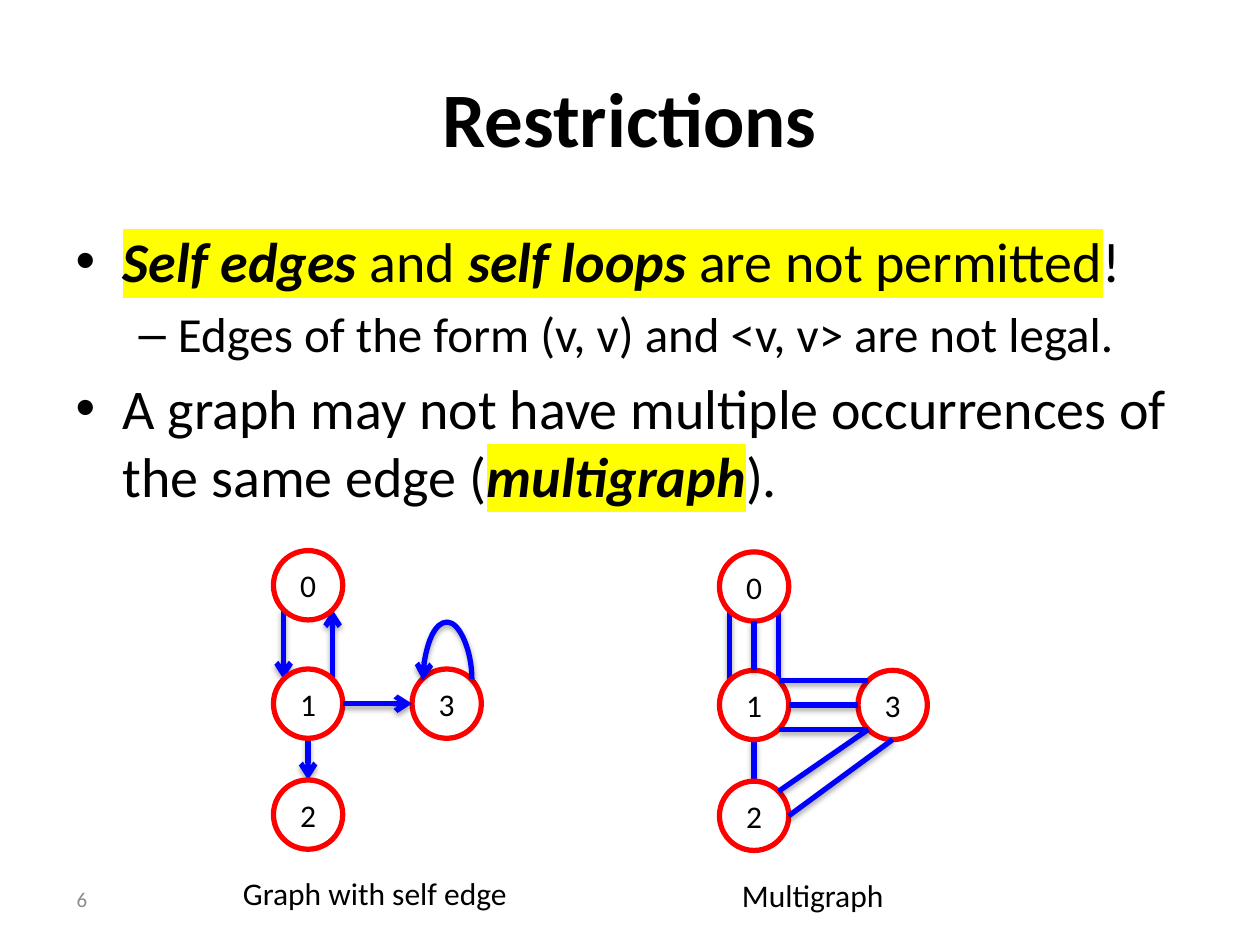
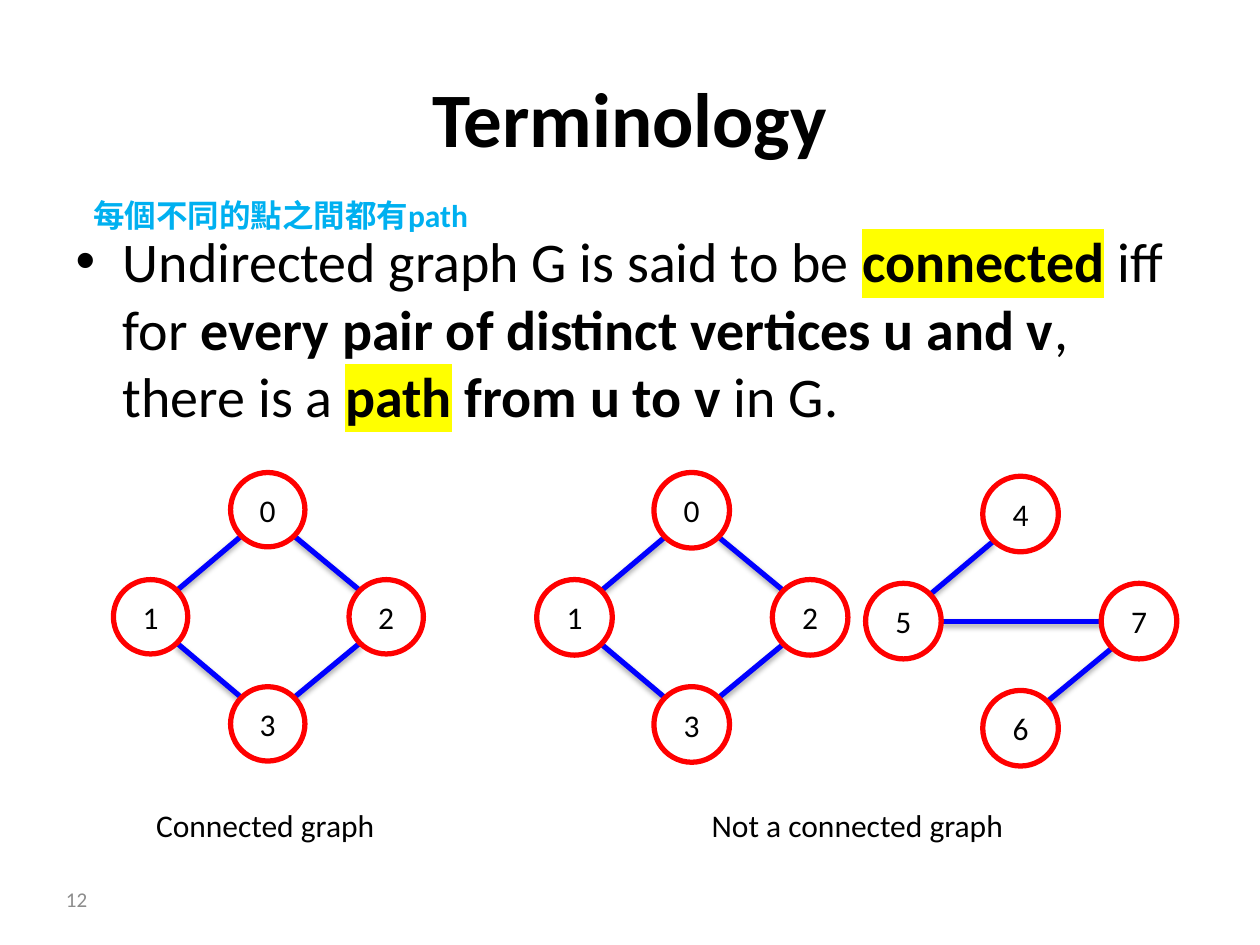
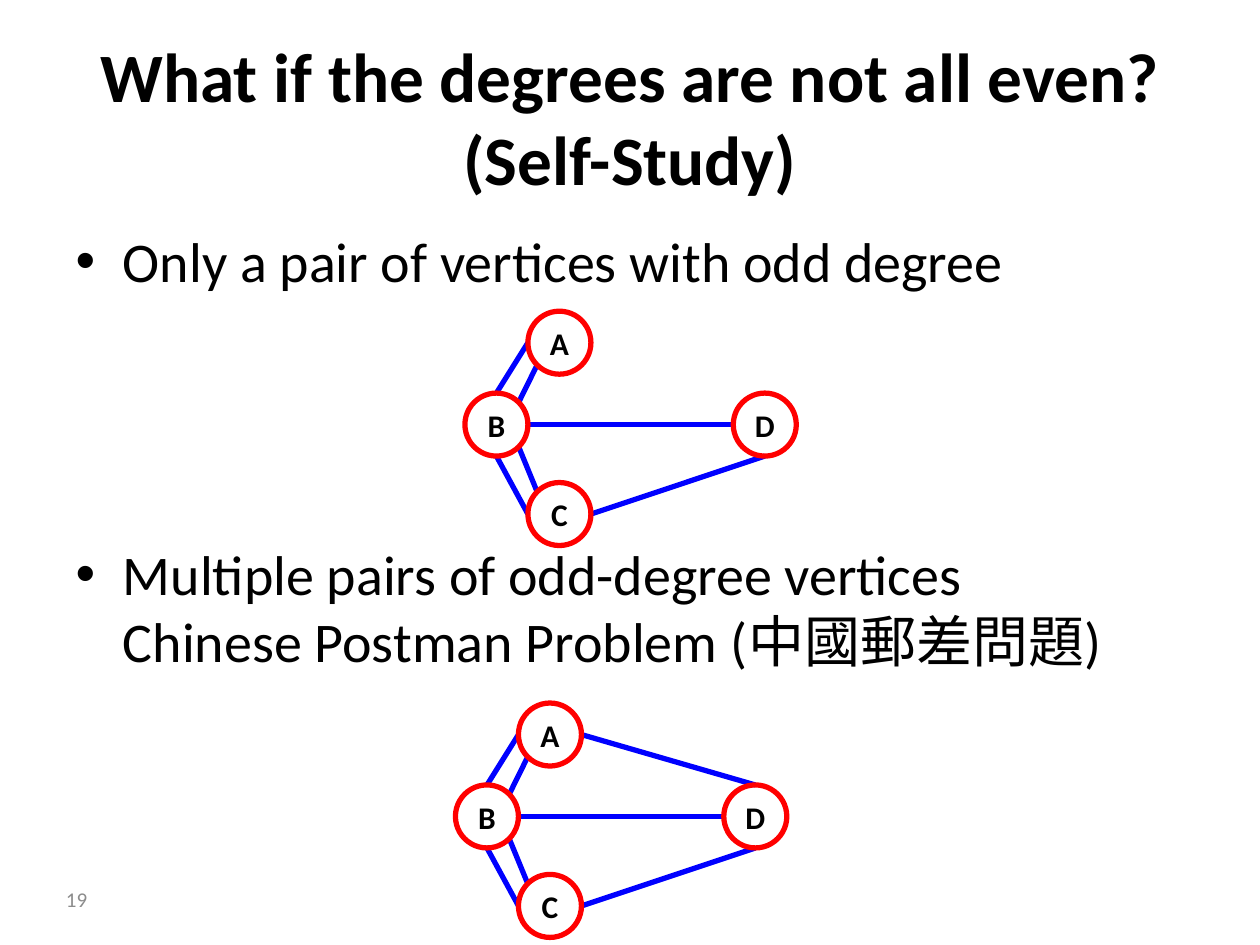
from math import sqrt

from lxml import etree
from pptx import Presentation
from pptx.dml.color import RGBColor
from pptx.enum import shapes, text
from pptx.oxml.ns import qn
from pptx.util import Inches, Pt

# Shared look
BLACK = RGBColor(0x00, 0x00, 0x00)
WHITE = RGBColor(0xFF, 0xFF, 0xFF)
RED = RGBColor(0xFF, 0x00, 0x00)
BLUE = RGBColor(0x00, 0x00, 0xFF)
SKY = RGBColor(0x00, 0xB0, 0xF0)
GREY = RGBColor(0x8C, 0x8C, 0x8C)
FONT, CJK_FONT = "Calibri", "Noto Sans CJK TC"
LEVEL_SIZES = (32, 28)
STROKE = Pt(3)

# Grid of 100 columns by 75 rows
WIDTH, HEIGHT = Inches(10), Inches(7.5)
COL, ROW = WIDTH / 100, HEIGHT / 75

# Where an edge meets a node, as shares of the radius
D = sqrt(0.5)
PORTS = {"N": (0, -1), "S": (0, 1), "E": (1, 0), "W": (-1, 0),
         "NE": (D, -D), "NW": (-D, -D), "SE": (D, D), "SW": (-D, D)}


def cells(x, y):
    return round(x * COL), round(y * ROW)


def box(x, y, w, h):
    return cells(x, y) + cells(w, h)


def child(parent, tag, **attrs):
    return etree.SubElement(parent, qn(tag), attrs)


# Text
def style_run(r, size, color=BLACK, marks=""):
    """Marks: b bold, i italic, h highlighted."""
    r.font.size = Pt(size)
    r.font.bold = "b" in marks
    r.font.italic = "i" in marks
    r.font.color.rgb = color
    if "h" in marks:
        child(child(r._r.get_or_add_rPr(), "a:highlight"), "a:srgbClr", val="FFFF00")
    r.font.name = FONT
    child(r._r.get_or_add_rPr(), "a:ea", typeface=CJK_FONT)


def write(tf, words, size, color=BLACK, marks="", align=text.PP_ALIGN.LEFT):
    tf.text = words
    p = tf.paragraphs[0]
    p.alignment = align
    style_run(p.runs[0], size, color, marks)


def place(sp, *area):
    sp.left, sp.top, sp.width, sp.height = box(*area)


def label(slide, words, area, size=18, color=BLACK, marks="", wrap=False):
    tf = slide.shapes.add_textbox(*box(*area)).text_frame
    tf.word_wrap = wrap
    tf.auto_size = text.MSO_AUTO_SIZE.SHAPE_TO_FIT_TEXT
    write(tf, words, size, color, marks)


def add_bullet(p, runs, level=0):
    p.level = level
    for words, marks in runs:
        if words == "\v":
            p.add_line_break()
            continue
        r = p.add_run()
        r.text = words
        style_run(r, LEVEL_SIZES[level], marks=marks)


def new_slide(prs, title, number, bullets, title_size=44):
    """Title, bullet list and page number; returns the slide."""
    slide = prs.slides.add_slide(prs.slide_layouts[1])
    heading, body = slide.placeholders
    place(heading, 5, 3, 90, 12.5)
    write(heading.text_frame, title, title_size, marks="b", align=text.PP_ALIGN.CENTER)
    heading.text_frame.auto_size = text.MSO_AUTO_SIZE.NONE

    place(body, 5, 17.5, 90, 49.5)
    tf = body.text_frame
    tf.auto_size = text.MSO_AUTO_SIZE.NONE
    for i, (level, runs) in enumerate(bullets):
        add_bullet(tf.add_paragraph() if i else tf.paragraphs[0], runs, level)
    tf.paragraphs[0].space_before = Pt(0)

    page = slide.shapes.add_textbox(*box(0, 69.4, 7.9, 4)).text_frame
    page.word_wrap = True
    page.vertical_anchor = text.MSO_ANCHOR.MIDDLE
    write(page, number, 12, GREY, align=text.PP_ALIGN.RIGHT)
    return slide


# Graphs
def add_edge(slide, start, end, arrow=None, shadow=True,
             kind=shapes.MSO_CONNECTOR.STRAIGHT):
    edge = slide.shapes.add_connector(kind, *cells(*start), *cells(*end))
    edge.line.color.rgb = BLUE
    edge.line.width = STROKE
    if arrow:
        child(edge.line._get_or_add_ln(), arrow, type="arrow")
    effects = child(edge._element.spPr, "a:effectLst")
    if shadow:
        outer = child(effects, "a:outerShdw", blurRad="40000", dist="23000",
                      dir="5400000", rotWithShape="0")
        child(child(outer, "a:srgbClr", val="000000"), "a:alpha", val="35000")
    return edge


def add_node(slide, name, center, size, bold, filled):
    x, y = center
    sp = slide.shapes.add_shape(shapes.MSO_SHAPE.OVAL,
                                *box(x - size / 2, y - size / 2, size, size))
    sp.shadow.inherit = False
    if filled:
        sp.fill.solid()
        sp.fill.fore_color.rgb = WHITE
    else:
        sp.fill.background()
    sp.line.color.rgb = RED
    sp.line.width = STROKE
    tf = sp.text_frame
    tf.margin_left = tf.margin_right = tf.margin_top = tf.margin_bottom = 0
    tf.vertical_anchor = text.MSO_ANCHOR.MIDDLE
    write(tf, name, 18, marks="b" if bold else "", align=text.PP_ALIGN.CENTER)


def add_graph(slide, nodes, size, edges, over="", bold=False, filled=True, shadow=True):
    """Edges read like 0SW-1NW, or 0SW>1NW with an arrow; over lie above the nodes."""
    def port(ref):
        (x, y), (dx, dy) = nodes[ref[0]], PORTS[ref[1:]]
        return x + dx * size / 2, y + dy * size / 2

    def draw(refs):
        for ref in refs.split():
            directed = ">" in ref
            start, end = ref.split(">" if directed else "-")
            add_edge(slide, port(start), port(end),
                     "a:tailEnd" if directed else None, shadow)

    draw(edges)
    for name, center in nodes.items():
        add_node(slide, name, center, size, bold, filled)
    draw(over)


def add_self_loop(slide, x, y, span, rise):
    """Arc above (x, y), made from a thin curved connector turned upright."""
    thin = 0.1
    loop = add_edge(slide, (x + thin / 2, y + span / 2), (x - thin / 2, y - span / 2),
                    "a:headEnd", kind=shapes.MSO_CONNECTOR.CURVE)
    spPr = loop._element.spPr
    spPr.find(qn("a:xfrm")).set("rot", "5400000")
    guides = spPr.find(qn("a:prstGeom")).get_or_add_avLst()
    child(guides, "a:gd", name="adj1", fmla=f"val {round(rise / thin * 100000)}")


def corner(x, y):
    """Nodes 0, 1, 2 in a column, 3 to the right of 1."""
    return {"0": (x, y), "1": (x, y + 9.4), "2": (x, y + 18.2), "3": (x + 11, y + 9.4)}


def diamond(names, x, y):
    """Top, left, right and bottom nodes around (x, y)."""
    offsets = ((0, -8.5), (-9.3, 0), (9.4, 0), (0, 8.5))
    return {n: (x + dx, y + dy) for n, (dx, dy) in zip(names, offsets)}


def bridges(x, y):
    """Land areas A to D, B at (x, y)."""
    return {"A": (x + 5, y - 6.5), "B": (x, y), "C": (x + 5, y + 7.1), "D": (x + 21.3, y)}


# Slides
def restrictions(prs):
    slide = new_slide(prs, "Restrictions", "6", [
        (0, [("Self edges", "bih"), (" ", "bh"), ("and ", "h"), ("self loops ", "bih"),
             ("are not permitted", "h"), ("!", "")]),
        (1, [("Edges of the form (v, v) and <v, v> are not legal.", "")]),
        (0, [("A graph may not have multiple occurrences of the same edge (", ""),
             ("multigraph", "bih"), (").", "")]),
    ])
    add_graph(slide, corner(24.45, 46.45), 5.5, "0SW>1NW 1S>2N 1NE>0SE", over="1E>3W")
    add_self_loop(slide, 35.5, 53.95, span=3.9, rise=4.7)
    label(slide, "Graph with self edge", (18.3, 68.9, 23.2, 4))

    add_graph(slide, corner(59.85, 46.55), 5.5, "0SW-1NW 1S-2N 0SE-1NE",
              over="3W-1E 0S-1N 3NW-1NE 3SW-1SE 3SW-2NE 3S-2E")
    label(slide, "Multigraph", (57.9, 69, 13.4, 4))


def terminology(prs):
    slide = new_slide(prs, "Terminology", "12", [
        (0, [("Undirected graph G is said to be ", ""), ("connected", "bh"),
             (" iff for ", ""), ("every pair of distinct vertices u and v", "b"),
             (", there is a ", ""), ("path", "bh"), (" from u to v", "b"),
             (" in G.", "")]),
    ])
    ring = "0SW-1NE 3NW-1SE 0SE-2NW 2SW-3NE"
    add_graph(slide, diamond("0123", 21.25, 48.95), 5.9, ring)
    add_graph(slide, diamond("0123", 54.9, 49), 6, ring)
    add_graph(slide, diamond("4576", 81, 49.3), 6, "4SW-5NE 7W-5E 7SW-6NE")
    label(slide, "Connected graph", (11.4, 63.5, 19.6, 4))
    label(slide, "Not a connected graph", (55.5, 63.5, 25.4, 4))
    label(slide, "每個不同的點之間都有path", (6.4, 15.1, 33.9, 4), color=SKY, marks="b",
          wrap=True)


def odd_degrees(prs):
    slide = new_slide(prs, "What if the degrees are not all even? (Self-Study)", "19", [
        (0, [("Only a pair of vertices with odd degree", "")]),
        (0, [("Multiple pairs of odd-degree vertices", ""), ("\v", ""),
             ("Chinese Postman Problem (中國郵差問題)", "")]),
    ], title_size=39.6)
    # Room for the first graph between the bullets
    slide.placeholders[1].text_frame.paragraphs[1].space_before = Pt(140)

    edges = "ASW-BNE AW-BN CNW-BSE CW-BS CE-DS BE-DW"
    plain = dict(bold=True, filled=False, shadow=False)
    add_graph(slide, bridges(39.4, 33.7), 5, edges, **plain)
    add_graph(slide, bridges(38.65, 64.8), 5, edges + " AE-DN", **plain)


def main():
    prs = Presentation()
    prs.slide_width, prs.slide_height = WIDTH, HEIGHT
    restrictions(prs)
    terminology(prs)
    odd_degrees(prs)
    prs.save("out.pptx")


if __name__ == "__main__":
    main()
